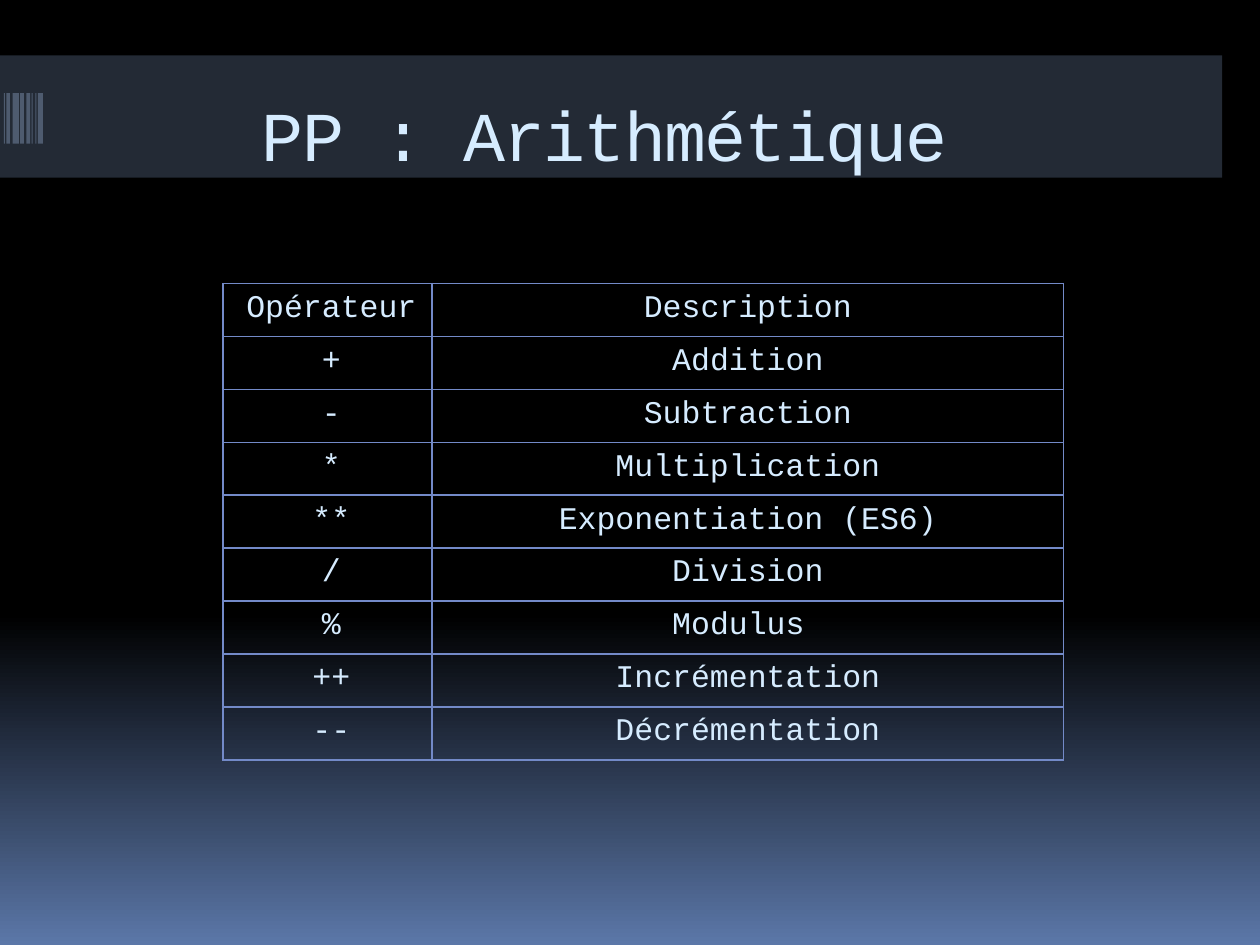
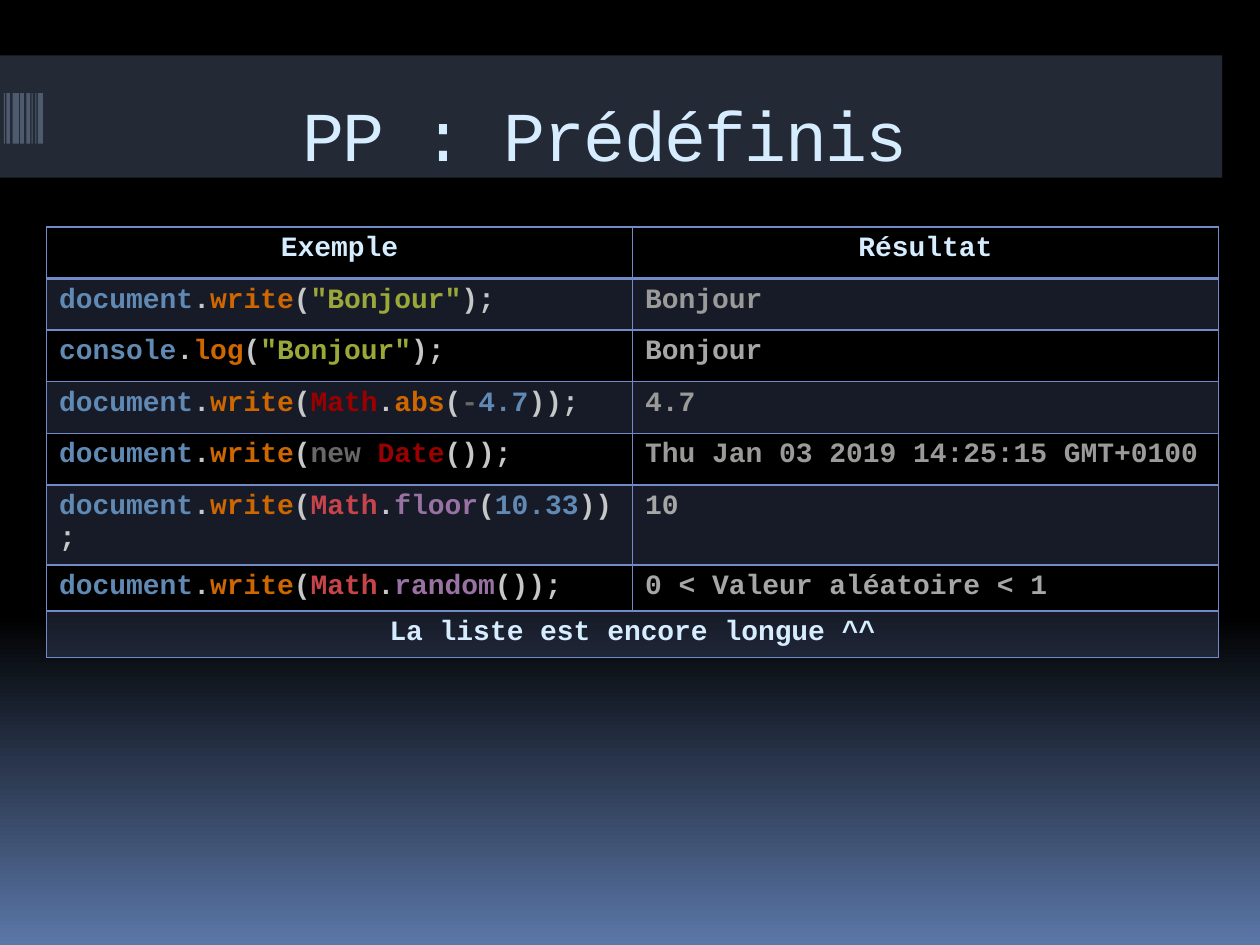
from copy import deepcopy
from pptx import Presentation
from pptx.dml.color import RGBColor
from pptx.enum.shapes import MSO_SHAPE
from pptx.enum.text import MSO_ANCHOR, PP_ALIGN
from pptx.oxml import parse_xml
from pptx.oxml.ns import nsdecls, qn
from pptx.util import Inches, Pt

FONT = "Courier New"
BLACK, GLOW, BAND, BAR = "000000", "5B77A8", "586A86", "4E5B6F"
ICE, EDGE = "D6ECFF", "738AC8"
BLUE, PALE, ORANGE, GREEN = "6089B4", "C5C8C6", "CE6700", "9AA83A"
RED, ROSE, PLUM, DIM = "9B0000", "C7444A", "9872A2", "676867"
GREY, SILVER = "9A9B99", "A6A6A6"
BARS = [(0.03, 0.01), (0.05, 0.03), (0.1, 0.05), (0.16, 0.03),
        (0.21, 0.03), (0.25, 0.01), (0.28, 0.01), (0.3, 0.04)]


def rgb(text):
    """Turn a hex string into a colour."""
    return RGBColor.from_string(text)


def paint(fill, colour, alpha=100):
    """Fill with one colour, at a given opacity in percent."""
    fill.solid()
    fill.fore_color.rgb = rgb(colour)
    if alpha < 100:
        node = fill._xPr.find(qn("a:solidFill"))[0]
        node.append(parse_xml(f'<a:alpha {nsdecls("a")} val="{alpha * 1000}"/>'))


def block(slide, box, colour, alpha=100):
    """Draw a plain rectangle."""
    shape = slide.shapes.add_shape(MSO_SHAPE.RECTANGLE, *map(Inches, box))
    shape.shadow.inherit = False
    shape.line.fill.background()
    paint(shape.fill, colour, alpha)


def backdrop(slide):
    """Lay a black sky with a blue glow at the foot."""
    fill = slide.background.fill
    fill.gradient()
    fill.gradient_angle = 270
    first, last = fill.gradient_stops
    first.color.rgb, first.position = rgb(BLACK), 0
    last.color.rgb, last.position = rgb(GLOW), 1
    middle = deepcopy(first._gs)
    middle.set("pos", "65000")
    first._gs.addnext(middle)


def heading(slide, box, title):
    """Draw the title band with its bar code and its title."""
    left, top, width, height = box
    block(slide, box, BAND, 40)
    for shift, thick in BARS:
        block(slide, (left + shift, top + 0.3, thick, 0.4), BAR)
    place = (left + 0.55, top + 0.12, width - 1.2, 1)
    frame = slide.shapes.add_textbox(*map(Inches, place)).text_frame
    frame.word_wrap = True
    frame.vertical_anchor = MSO_ANCHOR.MIDDLE
    para = frame.paragraphs[0]
    para.alignment = PP_ALIGN.CENTER
    run = para.add_run()
    run.text = title
    style(para.font, 40)
    para.font.color.rgb = rgb(ICE)
    run._r.get_or_add_rPr().set("spc", "-100")


def style(font, size, bold=False):
    """Set the shared face, a size and a weight."""
    font.name, font.size, font.bold = FONT, Pt(size), bold


def border(cell, top=1, foot=1):
    """Rule the four sides of a cell, widths in points."""
    for side, width in zip("LRTB", (1, 1, top, foot)):
        cell._tc.get_or_add_tcPr().append(parse_xml(
            f'<a:ln{side} {nsdecls("a")} w="{Pt(width)}"><a:solidFill>'
            f'<a:srgbClr val="{EDGE}"/></a:solidFill></a:ln{side}>'))


def write(cell, runs, size, bold, centre):
    """Write coloured runs into a cell."""
    para = cell.text_frame.paragraphs[0]
    para.alignment = PP_ALIGN.CENTER if centre else PP_ALIGN.LEFT
    style(para.font, size, bold)
    for text, colour in runs:
        run = para.add_run()
        run.text = text
        run.font.color.rgb = rgb(colour)


def grid(slide, box, cols, rows):
    """Add a table without a banded style."""
    shape = slide.shapes.add_table(len(rows), len(cols), *map(Inches, box))
    table = shape.table
    table.first_row = table.horz_banding = False
    for col, width in zip(table.columns, cols):
        col.width = Inches(width)
    for row, height in zip(table.rows, rows):
        row.height = Inches(height)
    return table


def operators(slide, box, rows):
    """Fill a box with operators and what they do."""
    width, height = box[2:]
    table = grid(slide, box, (1.66, width - 1.66), [height / len(rows)] * len(rows))
    for r, row in enumerate(rows):
        for c, text in enumerate(row):
            cell = table.cell(r, c)
            cell.margin_left = Inches(0.06 if c else 0.12)
            cell.margin_right = cell.margin_top = cell.margin_bottom = Inches(0.06)
            border(cell)
            cell.fill.background()
            write(cell, [(text, ICE)], 18, False, True)


def samples(slide, box, rows, tall):
    """Fill a box with lines of code and their results."""
    table = grid(slide, box, [box[2] / 2] * 2, tall)
    final = len(rows) - 1
    for r, row in enumerate(rows):
        for c in range(2):
            cell = table.cell(r, c)
            border(cell, 2 if r == 1 else 1, 2 if r == 0 else 1)
            if r % 2:
                paint(cell.fill, EDGE, 20)
            else:
                cell.fill.background()
        for c, runs in enumerate(row):
            write(table.cell(r, c), runs, 16, True, r in (0, final))
    table.cell(final, 0).merge(table.cell(final, 1))


def call(owner, verb, *args):
    """Colour a method call, its arguments given as runs."""
    return [(owner, BLUE), (".", PALE), (verb, ORANGE), ("(", PALE), *args]


def maths(verb, hue, tint, *args):
    """Colour a call to Math inside a document.write call."""
    return call("document", "write", ("Math", hue), (".", PALE), (verb, tint), *args)


def page(deck, title):
    """Add a slide with the shared look."""
    slide = deck.slides.add_slide(deck.slide_layouts[6])
    backdrop(slide)
    heading(slide, (0, 0.44, 9.7, 0.97), title)
    return slide


HELLO = [('"Bonjour"', GREEN), (");", PALE)]
SIGNS = [
    ("Opérateur", "Description"), ("+", "Addition"), ("-", "Subtraction"),
    ("*", "Multiplication"), ("**", "Exponentiation (ES6)"), ("/", "Division"),
    ("%", "Modulus "), ("++", "Incrémentation"), ("--", "Décrémentation"),
]
CODE = [
    ([("Exemple", ICE)], [("Résultat", ICE)]),
    (call("document", "write", *HELLO), [("Bonjour", GREY)]),
    (call("console", "log", *HELLO), [("Bonjour", SILVER)]),
    (maths("abs", RED, ORANGE, ("(", PALE), ("-", DIM), ("4.7", BLUE), ("));", PALE)),
     [("4.7", GREY)]),
    (call("document", "write", ("new\u00a0", DIM), ("Date", RED), ("());", PALE)),
     [("Thu Jan 03 2019 14:25:15 GMT+0100".replace(" ", "\u00a0"), GREY)]),
    (maths("floor", ROSE, PLUM, ("(", PALE), ("10.33", BLUE), ("));", PALE)),
     [("10", SILVER)]),
    (maths("random", ROSE, PLUM, ("());", PALE)),
     [("0 < Valeur aléatoire < 1", SILVER)]),
    ([("La liste est encore longue ^^", ICE)],),
]

deck = Presentation()
deck.slide_width, deck.slide_height = Inches(10), Inches(7.5)
operators(page(deck, "PP : Arithmétique"), (1.77, 2.25, 6.67, 3.6), SIGNS)
samples(page(deck, "PP : Prédéfinis"), (0.37, 1.8, 9.3, 3.35), CODE,
        [0.41] * 5 + [0.6, 0.35, 0.35])
deck.save("out.pptx")
